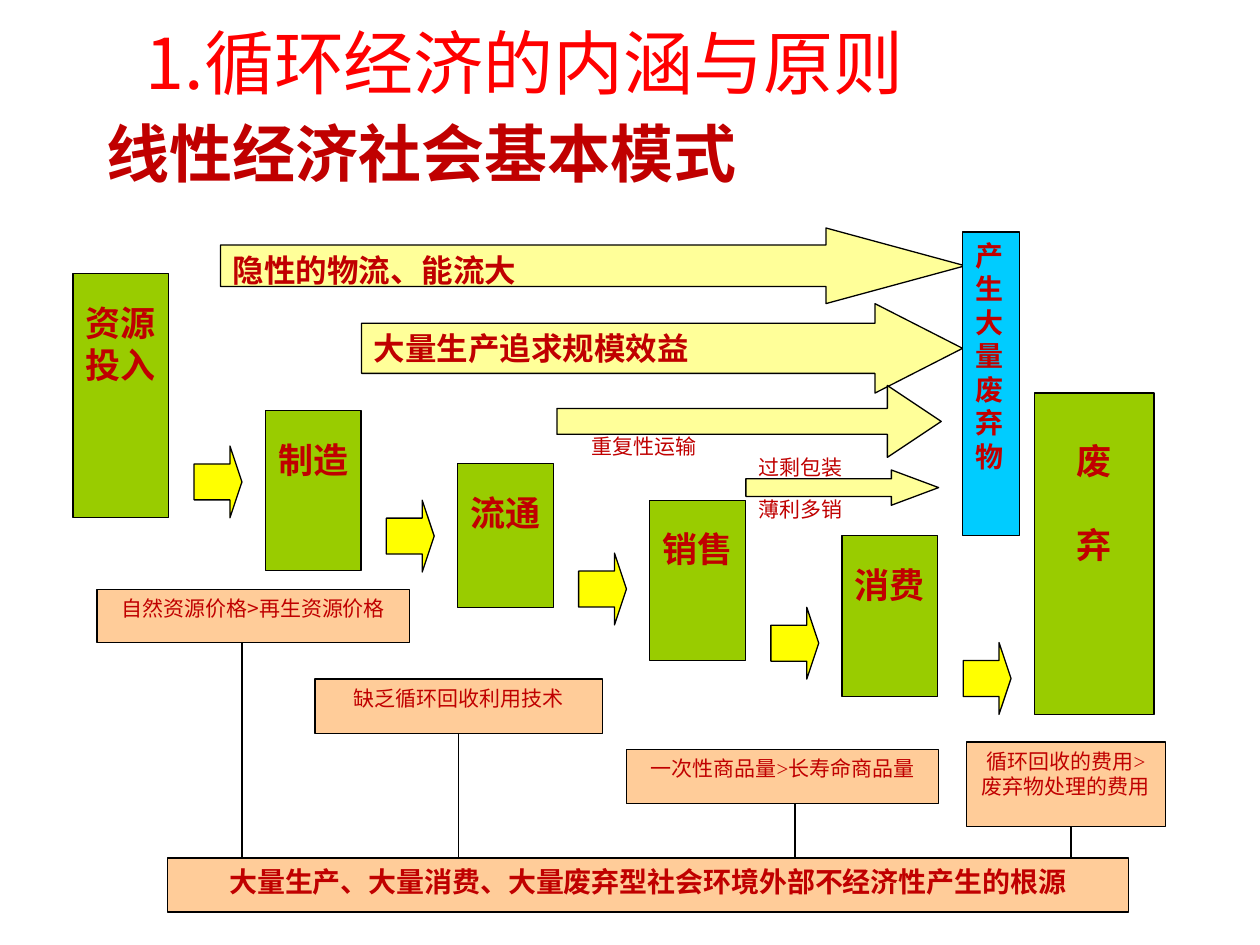
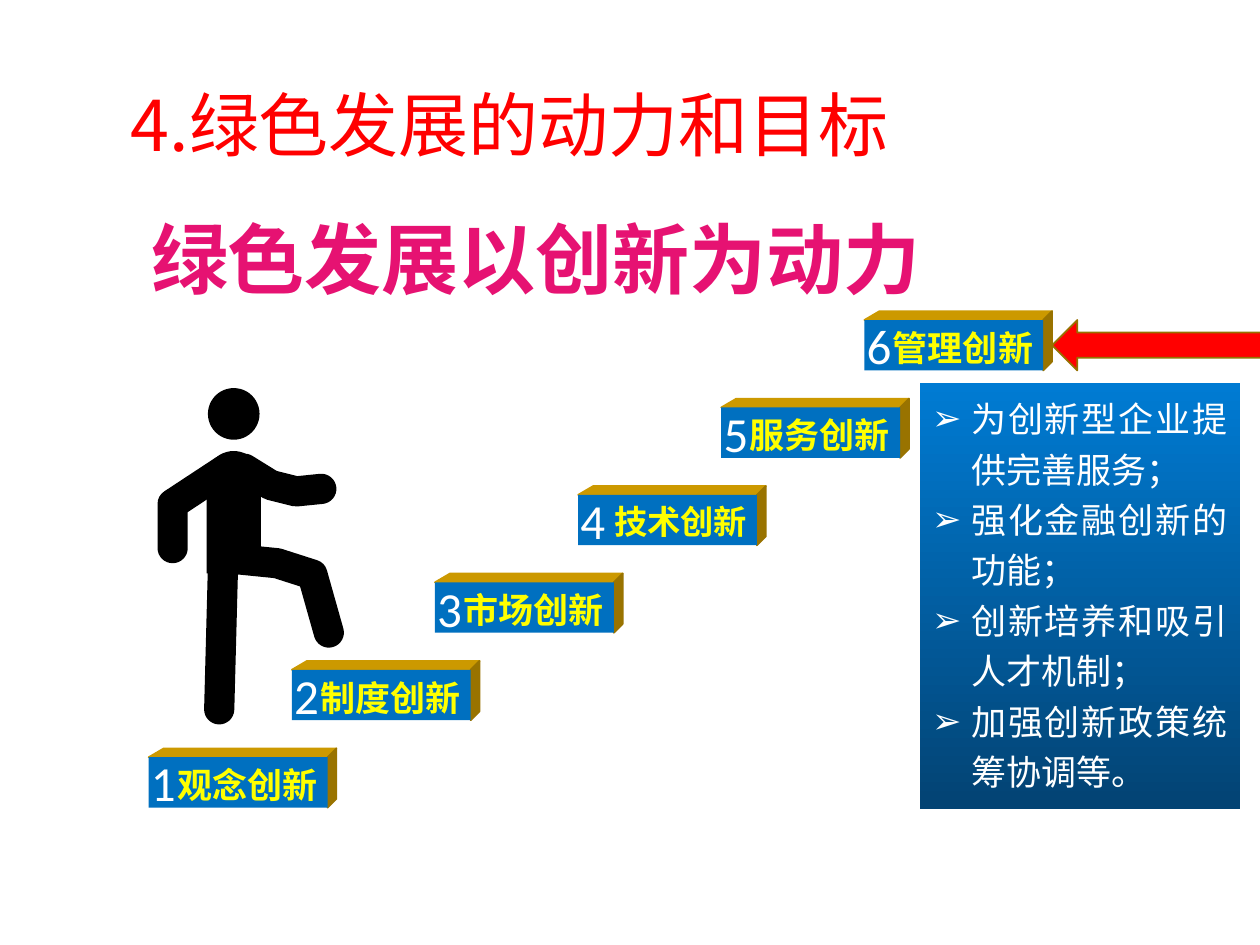
"""Build two slides on the linear economy and on innovation for green development."""
from dataclasses import dataclass

from lxml import etree
from pptx import Presentation
from pptx.dml.color import RGBColor
from pptx.enum.shapes import MSO_CONNECTOR, MSO_SHAPE
from pptx.enum.text import MSO_ANCHOR, PP_ALIGN
from pptx.oxml.ns import qn
from pptx.util import Inches, Pt

RECTANGLE, OVAL, ROUND_TOP = MSO_SHAPE.RECTANGLE, MSO_SHAPE.OVAL, MSO_SHAPE.ROUND_2_SAME_RECTANGLE
RIGHT_ARROW, LEFT_ARROW = MSO_SHAPE.RIGHT_ARROW, MSO_SHAPE.LEFT_ARROW
STRAIGHT = MSO_CONNECTOR.STRAIGHT
TOP, MIDDLE, BOTTOM = MSO_ANCHOR.TOP, MSO_ANCHOR.MIDDLE, MSO_ANCHOR.BOTTOM
LEFT, CENTER, RIGHT, JUSTIFY = PP_ALIGN.LEFT, PP_ALIGN.CENTER, PP_ALIGN.RIGHT, PP_ALIGN.JUSTIFY
BOTTOM_SIDE = 2


@dataclass(frozen=True)
class Theme:
    red: str = "FF0000"
    dark_red: str = "C00000"
    magenta: str = "E61272"
    black: str = "000000"
    white: str = "FFFFFF"
    yellow: str = "FFFF00"
    stage: str = "99CC00"
    flow: str = "FFFF99"
    cause: str = "FFCC99"
    waste: str = "00CCFF"
    step_front: str = "0070C0"
    step_lid: str = "CC9900"
    step_side: str = "997300"
    arrow_line: str = "977100"
    panel_start: str = "007BD3"
    panel_end: str = "034373"
    cjk: str = "Noto Sans CJK SC"
    serif: str = "Times New Roman"
    sans: str = "Arial"
    digits: str = "Calibri"
    heading_size: int = 40
    linear_title_size: int = 36
    green_title_size: int = 44
    large: int = 20
    medium: int = 18
    normal: int = 16
    small: int = 12
    number_size: int = 28
    thin_line: float = 0.75
    edge_line: float = 1
    limb_line: float = 17.25


THEME = Theme()

LINEAR_HEADING = ("1.循环经济的内涵与原则", (1.06, -0.26, 7.83, 1.13), BOTTOM)
LINEAR_TITLE = ("线性经济社会基本模式", (0.75, 0.64, 8.67, 0.92))
STAGES = [
    {"lines": ["资源投入"], "top": 2.17, "width": 0.76, "height": 1.94, "inset": 0.22},
    {"lines": ["制造"], "top": 3.26, "width": 0.76, "height": 1.27, "inset": 0.22},
    {"lines": ["流通"], "top": 3.68, "width": 0.76, "height": 1.14, "inset": 0.22},
    {"lines": ["销售"], "top": 3.97, "width": 0.76, "height": 1.27, "inset": 0.22},
    {"lines": ["消费"], "top": 4.25, "width": 0.76, "height": 1.28, "inset": 0.22},
    {"lines": ["废", "弃"], "top": 3.12, "width": 0.95, "height": 2.55, "inset": 0.37},
]
FIRST_STAGE_LEFT, LAST_STAGE_LEFT = 0.58, 8.21
STAGE_STEP = (LAST_STAGE_LEFT - FIRST_STAGE_LEFT) / (len(STAGES) - 1)
STAGE_LINE_GAP = 24
NEXT_ARROW_OFFSET = 0.96
NEXT_ARROW_SIZE = (0.38, 0.57)
NEXT_ARROW_TOPS = [3.54, 3.97, 4.39, 4.82, 5.1]
FLOWS = [
    ("隐性的物流、能流大", (1.75, 1.81, 5.91, 0.6), (0.55, 1.84)),
    ("大量生产追求规模效益", (2.87, 2.41, 4.77, 0.71), (0.56, 0.98)),
    ("", (4.42, 3.06, 3.05, 0.57), (0.36, 0.75)),
    ("", (5.92, 3.73, 1.53, 0.28), (0.5, 1.34)),
]
FLOW_NOTES = [
    ("重复性运输", (4.25, 3.39, 1.72, 0.51), CENTER),
    ("过剩包装", (5.92, 3.56, 1.14, 0.34), LEFT),
    ("薄利多销", (5.92, 3.89, 1.14, 0.44), LEFT),
]
WASTE = ("产生大量废弃物", (7.64, 1.84, 0.45, 2.41))
CAUSES = [
    (["自然资源价格>再生资源价格"], (0.77, 4.68, 2.48, 0.42), 1.92, THEME.cjk),
    (["缺乏循环回收利用技术"], (2.5, 5.39, 2.28, 0.43), 3.64, THEME.serif),
    (["一次性商品量>长寿命商品量"], (4.97, 5.95, 2.48, 0.43), 6.31, THEME.serif),
    (["循环回收的费用>", "废弃物处理的费用"], (7.67, 5.89, 1.58, 0.67), 8.5, THEME.serif),
]
ROOT_CAUSE = ("大量生产、大量消费、大量废弃型社会环境外部不经济性产生的根源", (1.33, 6.81, 7.63, 0.43))

GREEN_HEADING = ("4.绿色发展的动力和目标", (0.94, 0.6, 7.57, 0.77), TOP)
GREEN_TITLE = ("绿色发展以创新为动力", (1.1, 1.57, 8.11, 0.89))
INNOVATIONS = [("观念创新", 20), ("制度创新", 20), ("市场创新", 20),
               ("技术创新", 19), ("服务创新", 20), ("管理创新", 20)]
FIRST_STEP, LAST_STEP = (1.18, 6.01), (6.86, 2.54)
STEP_WIDTH, STEP_HEIGHT, STEP_DEPTH, STEP_SLANT = 1.42, 0.4, 0.07, 0.12
NUMBER_OFFSET, NUMBER_WIDTH = -0.08, 0.34
MEASURES = ["为创新型企业提供完善服务；", "强化金融创新的功能；",
            "创新培养和吸引人才机制；", "加强创新政策统筹协调等。"]
MEASURES_BOX = (7.3, 3.04, 2.54, 3.38)
MEASURES_INDENT = 0.31
RED_ARROW_BOX = (8.35, 2.54, 1.72, 0.4)
CLIMBER_HEAD = (1.65, 3.08, 0.41, 0.41)
CLIMBER_TORSO = (1.64, 3.58, 0.43, 0.97)
CLIMBER_LIMBS = {
    "back arm": [(1.78, 3.73), (1.37, 4.0), (1.37, 4.35)],
    "front arm": [(1.94, 3.72), (2.15, 3.85), (2.35, 3.9), (2.55, 3.88)],
    "standing leg": [(1.77, 4.5), (1.74, 5.63)],
    "raised leg": [(1.9, 4.44), (2.2, 4.47), (2.48, 4.56), (2.61, 5.02)],
}


def inches(values):
    return [Inches(value) for value in values]


def rgb(color):
    return RGBColor.from_string(color)


def draw_line(shape, color, width):
    shape.line.color.rgb = rgb(color)
    shape.line.width = Pt(width)


def paint(shape, fill, line=None, width=THEME.thin_line):
    shape.shadow.inherit = False
    shape.fill.solid()
    shape.fill.fore_color.rgb = rgb(fill)
    if line:
        draw_line(shape, line, width)
    else:
        shape.line.fill.background()


def add_block(slide, kind, box, fill, line=None, width=THEME.thin_line, adjustments=()):
    shape = slide.shapes.add_shape(kind, *inches(box))
    paint(shape, fill, line, width)
    for index, value in enumerate(adjustments):
        shape.adjustments[index] = value
    return shape


def add_outline(slide, points, close=True):
    start, *rest = [inches(point) for point in points]
    builder = slide.shapes.build_freeform(*start)
    builder.add_line_segments(rest, close=close)
    return builder.convert_to_shape()


def style(paragraph, size, font, color, bold):
    paragraph.font.size = Pt(size)
    paragraph.font.bold = bold
    paragraph.font.name = font
    paragraph.font.color.rgb = rgb(color)
    properties = paragraph._p.pPr.find(qn("a:defRPr"))
    etree.SubElement(properties, qn("a:ea")).set("typeface", THEME.cjk)


def write(shape, lines, size, font=THEME.serif, color=THEME.dark_red, bold=False,
          align=CENTER, anchor=TOP, inset=0.05, gap=0):
    frame = shape.text_frame
    frame.text = "\n".join(lines)
    frame.word_wrap = True
    frame.vertical_anchor = anchor
    frame.margin_top = Inches(inset)
    for paragraph in frame.paragraphs:
        paragraph.alignment = align
        style(paragraph, size, font, color, bold)
    for paragraph in frame.paragraphs[1:]:
        paragraph.space_before = Pt(gap)
    return frame


def add_text(slide, text, box, size, **options):
    write(slide.shapes.add_textbox(*inches(box)), [text], size, **options)


def add_heading(slide, text, box, anchor):
    add_text(slide, text, box, THEME.heading_size, font=THEME.cjk, color=THEME.red,
             align=LEFT, anchor=anchor)


def add_title(slide, text, box, size, font, color):
    add_text(slide, text, box, size, font=font, color=color, bold=True, align=LEFT, anchor=BOTTOM)


def add_flows(slide):
    for text, box, adjustments in FLOWS:
        arrow = add_block(slide, RIGHT_ARROW, box, THEME.flow, THEME.black, adjustments=adjustments)
        if text:
            write(arrow, [text], THEME.medium, bold=True, align=LEFT)


def add_stages(slide):
    for index, stage in enumerate(STAGES):
        box = (FIRST_STAGE_LEFT + index * STAGE_STEP, stage["top"], stage["width"], stage["height"])
        block = add_block(slide, RECTANGLE, box, THEME.stage, THEME.black)
        write(block, stage["lines"], THEME.large, bold=True, inset=stage["inset"], gap=STAGE_LINE_GAP)
    for index, top in enumerate(NEXT_ARROW_TOPS):
        left = FIRST_STAGE_LEFT + NEXT_ARROW_OFFSET + index * STAGE_STEP
        add_block(slide, RIGHT_ARROW, (left, top, *NEXT_ARROW_SIZE), THEME.yellow, THEME.black,
                  adjustments=(0.5, 0.25))


def add_cause(slide, lines, box, line_left, font):
    block = add_block(slide, RECTANGLE, box, THEME.cause, THEME.black)
    write(block, lines, THEME.small, font=font)
    left, top, width, height = box
    root_top = ROOT_CAUSE[1][1]
    connector = slide.shapes.add_connector(
        STRAIGHT, *inches((line_left, top + height, line_left, root_top)))
    if abs(left + width / 2 - line_left) < 0.01:
        connector.begin_connect(block, BOTTOM_SIDE)
    draw_line(connector, THEME.black, THEME.thin_line)
    etree.SubElement(connector._element.spPr, qn("a:effectLst"))


def build_linear_economy(slide):
    add_heading(slide, *LINEAR_HEADING)
    add_title(slide, *LINEAR_TITLE, THEME.linear_title_size, THEME.sans, THEME.dark_red)
    add_flows(slide)
    add_stages(slide)
    for text, box, align in FLOW_NOTES:
        add_text(slide, text, box, THEME.small, align=align)
    for cause in CAUSES:
        add_cause(slide, *cause)
    for (text, box), fill, align in ((ROOT_CAUSE, THEME.cause, CENTER), (WASTE, THEME.waste, LEFT)):
        block = add_block(slide, RECTANGLE, box, fill, THEME.black)
        write(block, [text], THEME.normal, bold=True, align=align)


def add_step(slide, index, name, size):
    progress = index / (len(INNOVATIONS) - 1)
    left, top = [first + (last - first) * progress for first, last in zip(FIRST_STEP, LAST_STEP)]
    right, bottom = left + STEP_WIDTH, top + STEP_HEIGHT
    back, raised = right + STEP_DEPTH, top - STEP_DEPTH
    lid = [(left, top), (left + STEP_SLANT, raised), (back, raised), (right, top)]
    side = [(right, bottom), (right, top), (back, raised), (back, bottom - STEP_DEPTH)]
    for face, color in ((lid, THEME.step_lid), (side, THEME.step_side)):
        paint(add_outline(slide, face), color, color, THEME.edge_line)
    front = add_block(slide, RECTANGLE, (left, top, STEP_WIDTH, STEP_HEIGHT), THEME.step_front)
    frame = write(front, [name], size, font=THEME.sans, color=THEME.yellow, bold=True, align=RIGHT)
    frame.margin_left = frame.margin_right = Inches(0.08)
    add_text(slide, str(index + 1), (left + NUMBER_OFFSET, top, NUMBER_WIDTH, STEP_HEIGHT),
             THEME.number_size, font=THEME.digits, color=THEME.white, anchor=MIDDLE)


def add_climber(slide):
    add_block(slide, OVAL, CLIMBER_HEAD, THEME.black)
    add_block(slide, ROUND_TOP, CLIMBER_TORSO, THEME.black, adjustments=(0.5, 0))
    for joints in CLIMBER_LIMBS.values():
        limb = add_outline(slide, joints, close=False)
        limb.shadow.inherit = False
        limb.fill.background()
        draw_line(limb, THEME.black, THEME.limb_line)
        line = limb._element.spPr.find(qn("a:ln"))
        line.set("cap", "rnd")
        etree.SubElement(line, qn("a:round"))


def add_bullet(paragraph, character):
    properties = paragraph._p.pPr
    properties.set("marL", str(Inches(MEASURES_INDENT)))
    properties.set("indent", str(-Inches(MEASURES_INDENT)))
    text_defaults = properties.find(qn("a:defRPr"))
    text_defaults.addprevious(etree.Element(qn("a:buFont"), typeface=THEME.sans))
    text_defaults.addprevious(etree.Element(qn("a:buChar"), char=character))


def add_measures(slide):
    panel = add_block(slide, RECTANGLE, MEASURES_BOX, THEME.panel_start)
    panel.fill.gradient()
    panel.fill.gradient_angle = 270
    for stop, color in zip(panel.fill.gradient_stops, (THEME.panel_start, THEME.panel_end)):
        stop.color.rgb = rgb(color)
    frame = write(panel, MEASURES, THEME.large, font=THEME.sans, color=THEME.white, align=JUSTIFY)
    for paragraph in frame.paragraphs:
        paragraph.line_spacing = 1.2
        add_bullet(paragraph, "➢")


def build_green_innovation(slide):
    add_heading(slide, *GREEN_HEADING)
    add_title(slide, *GREEN_TITLE, THEME.green_title_size, THEME.cjk, THEME.magenta)
    for index, (name, size) in enumerate(INNOVATIONS):
        add_step(slide, index, name, size)
    add_climber(slide)
    add_block(slide, LEFT_ARROW, RED_ARROW_BOX, THEME.red, THEME.arrow_line, THEME.edge_line)
    add_measures(slide)


def main():
    presentation = Presentation()
    presentation.slide_width, presentation.slide_height = Inches(10), Inches(7.5)
    blank_layout = presentation.slide_layouts[6]
    for build in (build_linear_economy, build_green_innovation):
        build(presentation.slides.add_slide(blank_layout))
    presentation.save("out.pptx")


if __name__ == "__main__":
    main()
